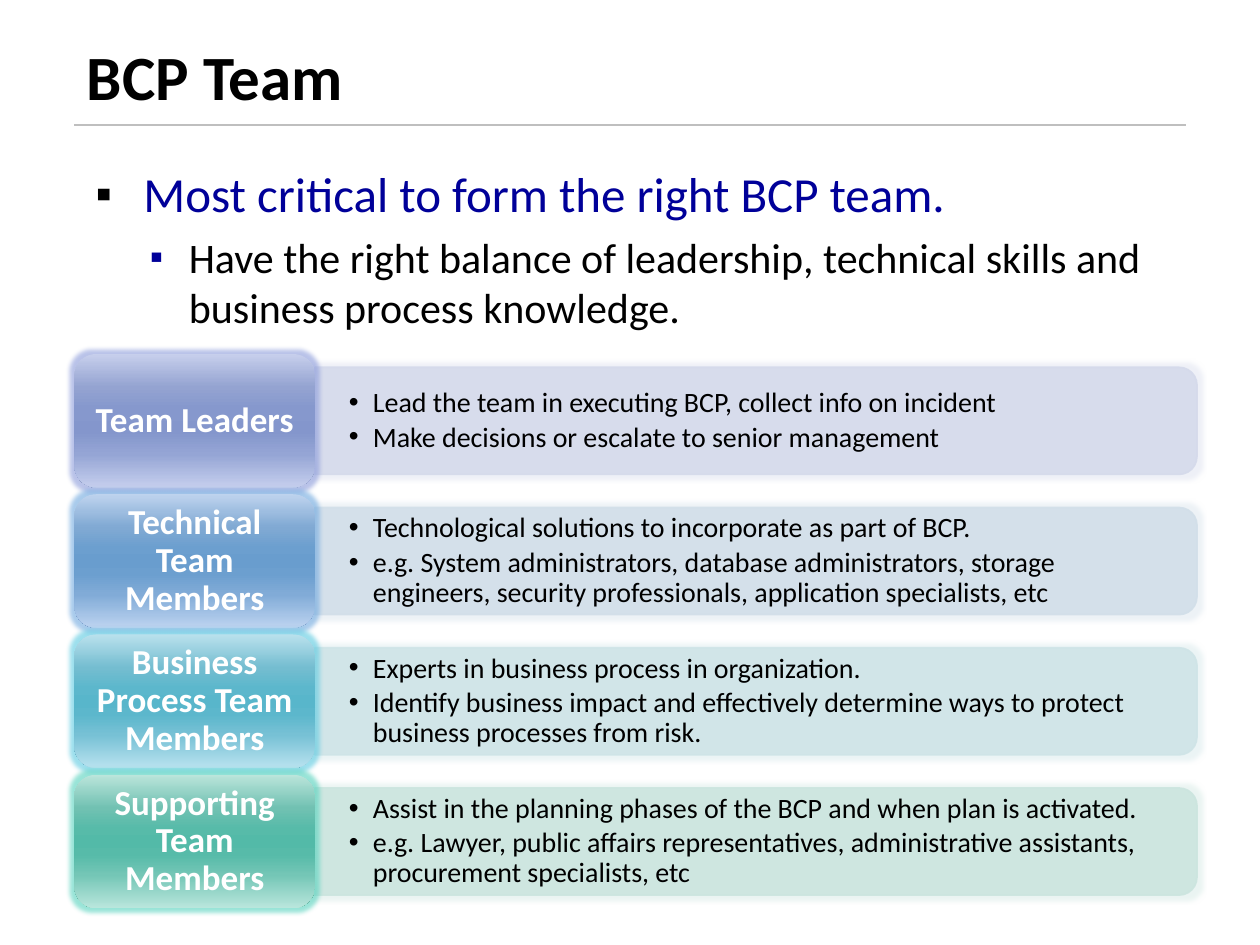
"""Build the BCP Team slide on a grid of 100 columns by 75 rows."""
from dataclasses import dataclass
from typing import Optional

from lxml import etree
from pptx import Presentation
from pptx import util as u
from pptx.dml.color import RGBColor
from pptx.enum import shapes, text
from pptx.oxml import parse_xml
from pptx.oxml.ns import nsdecls, qn

CELL = u.Inches(0.1)
FONT = "Calibri"
STOPS = (0, 25, 40, 50, 60, 75, 100)


@dataclass(frozen=True)
class Frame:
    """A rectangle in grid columns and rows."""
    left: float
    top: float
    width: float
    height: float

    def inset(self, gap: float) -> "Frame":
        """Return the frame shrunk by a gap on every side."""
        return Frame(self.left + gap, self.top + gap, self.width - 2 * gap, self.height - 2 * gap)

    def emu(self) -> list[int]:
        """Return left, top, width and height in slide units."""
        return [round(value * CELL) for value in (self.left, self.top, self.width, self.height)]


@dataclass(frozen=True)
class Style:
    """The look of one paragraph."""
    size: float
    color: str
    bold: bool = False
    align: text.PP_ALIGN = text.PP_ALIGN.LEFT
    spacing: Optional[float] = None
    before: float = 0
    after: float = 0
    bullet: str = ""
    bullet_color: str = "000000"
    bullet_size: int = 100
    margin: float = 0
    indent: float = 0


@dataclass(frozen=True)
class Role:
    """One team role with its colours and duties."""
    name: str
    duties: tuple[str, ...]
    band: str
    glow: str
    gradient: tuple[str, ...]


TITLE = Style(36, "000000", bold=True)
POINT = Style(28, "000099", bullet="▪", bullet_size=95, margin=4.5, indent=-3.8)
SUBPOINT = Style(24, "000000", before=5, bullet="▪", bullet_color="000099",
                 bullet_size=90, margin=8.1, indent=-3.1)
DUTY = Style(16, "000000", spacing=0.9, after=2.4, bullet="•", margin=1.9, indent=-1.9)
LABEL = Style(20, "FFFFFF", bold=True, align=text.PP_ALIGN.CENTER, spacing=0.9)

TILE = Frame(5.9, 28.1, 19.1, 10.6)
PITCH = TILE.height * 1.05
BAND_LENGTH, BAND_DEPTH = 70, 8.5

ROLES = (
    Role("Team Leaders",
         ("Lead the team in executing BCP, collect info on incident",
          "Make decisions or escalate to senior management"),
         "D5DAEB", "8B9BDB",
         ("C7CFEC", "94A3D1", "8698CD", "8496CC", "8698CD", "95A5D5", "C5CEED")),
    Role("Technical Team Members",
         ("Technological solutions to incorporate as part of BCP.",
          "e.g. System administrators, database administrators, storage engineers, "
          "security professionals, application specialists, etc"),
         "D2DFE9", "70A9E0",
         ("BED3EE", "80A9D3", "6C9FCF", "699DCE", "6C9FCF", "81ABD7", "BCD3F0")),
    Role("Business Process Team Members",
         ("Experts in business process in organization.",
          "Identify business impact and effectively determine ways to protect "
          "business processes from risk."),
         "CFE4E7", "5CCBE2",
         ("BAE1ED", "74BDD0", "5CB7CC", "58B6CB", "5CB7CC", "77C1D5", "B8E2EF")),
    Role("Supporting Team Members",
         ("Assist in the planning phases of the BCP and when plan is activated.",
          "e.g. Lawyer, public affairs representatives, administrative assistants, "
          "procurement specialists, etc"),
         "CCE5DF", "55D3BE",
         ("BBE5DB", "71C1B2", "57BBA9", "53BAA8", "57BBA9", "74C6B6", "B9E6DC")),
)


def rgb(value: str) -> RGBColor:
    """Turn a hex string into a colour."""
    return RGBColor.from_string(value)


def add_bullet(para, style: Style) -> None:
    """Give a paragraph its bullet and hanging indent."""
    props = para._p.get_or_add_pPr()
    props.set("marL", str(round(style.margin * CELL)))
    props.set("indent", str(round(style.indent * CELL)))
    color = etree.SubElement(props, qn("a:buClr"))
    etree.SubElement(color, qn("a:srgbClr"), val=style.bullet_color)
    etree.SubElement(props, qn("a:buSzPct"), val=str(style.bullet_size * 1000))
    etree.SubElement(props, qn("a:buFont"), typeface="Arial")
    etree.SubElement(props, qn("a:buChar"), char=style.bullet)


def add_text(page, frame: Frame, lines: list[tuple[str, Style]],
             insets: tuple[float, float] = (1, 0.7), middle: bool = False) -> None:
    """Add a wrapped text box with one paragraph per line."""
    body = page.shapes.add_textbox(*frame.emu()).text_frame
    body.word_wrap = True
    body.vertical_anchor = text.MSO_ANCHOR.MIDDLE if middle else text.MSO_ANCHOR.TOP
    side, edge = (round(value * CELL) for value in insets)
    body.margin_left = body.margin_right = side
    body.margin_top = body.margin_bottom = edge
    for index, (words, style) in enumerate(lines):
        para = body.add_paragraph() if index else body.paragraphs[0]
        if style.bullet:
            add_bullet(para, style)
        para.alignment = style.align
        para.line_spacing = style.spacing
        para.space_before, para.space_after = u.Pt(style.before), u.Pt(style.after)
        span = para.add_run()
        span.text = words
        span.font.name, span.font.size, span.font.bold = FONT, u.Pt(style.size), style.bold
        span.font.color.rgb = rgb(style.color)


def add_glow(shape, color: str, alpha: int) -> None:
    """Put a soft glow around a shape."""
    shape.shadow.inherit = False
    effects = shape._element.spPr.find(qn("a:effectLst"))
    glow = etree.SubElement(effects, qn("a:glow"), rad=str(u.Pt(5)))
    tint = etree.SubElement(glow, qn("a:srgbClr"), val=color)
    etree.SubElement(tint, qn("a:alpha"), val=str(alpha * 1000))


def add_band(page, tile: Frame, role: Role) -> None:
    """Add the pale band that runs right from a tile."""
    middle_x = tile.left + tile.width + BAND_LENGTH / 2
    middle_y = tile.top + tile.height / 2
    frame = Frame(middle_x - BAND_DEPTH / 2, middle_y - BAND_LENGTH / 2, BAND_DEPTH, BAND_LENGTH)
    band = page.shapes.add_shape(shapes.MSO_SHAPE.ROUND_2_SAME_RECTANGLE, *frame.emu())
    band.rotation = 90
    band.fill.solid()
    band.fill.fore_color.rgb = band.line.color.rgb = rgb(role.band)
    band.line.width = u.Pt(0.94)
    for color in band._element.spPr.iter(qn("a:srgbClr")):
        etree.SubElement(color, qn("a:alpha"), val="90000")
    add_glow(band, role.band, 40)


def add_tile(page, tile: Frame, role: Role) -> None:
    """Add the rounded gradient tile of a role."""
    shape = page.shapes.add_shape(shapes.MSO_SHAPE.ROUNDED_RECTANGLE, *tile.emu())
    shape.line.fill.background()
    stops = "".join(f'<a:gs pos="{stop * 1000}"><a:srgbClr val="{color}"/></a:gs>'
                    for stop, color in zip(STOPS, role.gradient))
    shape._element.spPr.find(qn("a:prstGeom")).addnext(parse_xml(
        f'<a:gradFill {nsdecls("a")} rotWithShape="1"><a:gsLst>{stops}</a:gsLst>'
        '<a:lin ang="5400000" scaled="0"/></a:gradFill>'))
    add_glow(shape, role.glow, 60)


def add_role(page, row: int, role: Role) -> None:
    """Draw one row: band, duties, tile and label."""
    tile = Frame(TILE.left, TILE.top + row * PITCH, TILE.width, TILE.height)
    duties = Frame(tile.left + tile.width, tile.top + 1.45, 69.6, 7.7)
    add_band(page, tile, role)
    add_text(page, duties, [(duty, DUTY) for duty in role.duties], (2.7, 1.4), middle=True)
    add_tile(page, tile, role)
    add_text(page, tile.inset(0.5), [(role.name, LABEL)], (0.8, 0.4), middle=True)


def add_rule(page, left: float, right: float, top: float) -> None:
    """Add the thin grey rule under the title."""
    ends = [round(value * CELL) for value in (left, top, right, top)]
    rule = page.shapes.add_connector(shapes.MSO_CONNECTOR.STRAIGHT, *ends)
    rule.line.color.rgb = rgb("BFBFBF")
    rule.line.width = u.Pt(0.94)
    etree.SubElement(rule._element.spPr, qn("a:effectLst"))


def main() -> None:
    """Build and save the deck."""
    deck = Presentation()
    deck.slide_width, deck.slide_height = 100 * CELL, 75 * CELL
    page = deck.slides.add_slide(deck.slide_layouts[6])
    add_rule(page, 5.9, 94.1, 9.9)
    add_text(page, Frame(5.9, 2.3, 88.2, 10), [("BCP Team", TITLE)])
    add_text(page, Frame(5.9, 12.3, 88.2, 55.9), [
        ("Most critical to form the right BCP team.", POINT),
        ("Have the right balance of leadership, technical skills and "
         "business process knowledge.", SUBPOINT)])
    for row, role in enumerate(ROLES):
        add_role(page, row, role)
    deck.save("out.pptx")


if __name__ == "__main__":
    main()
